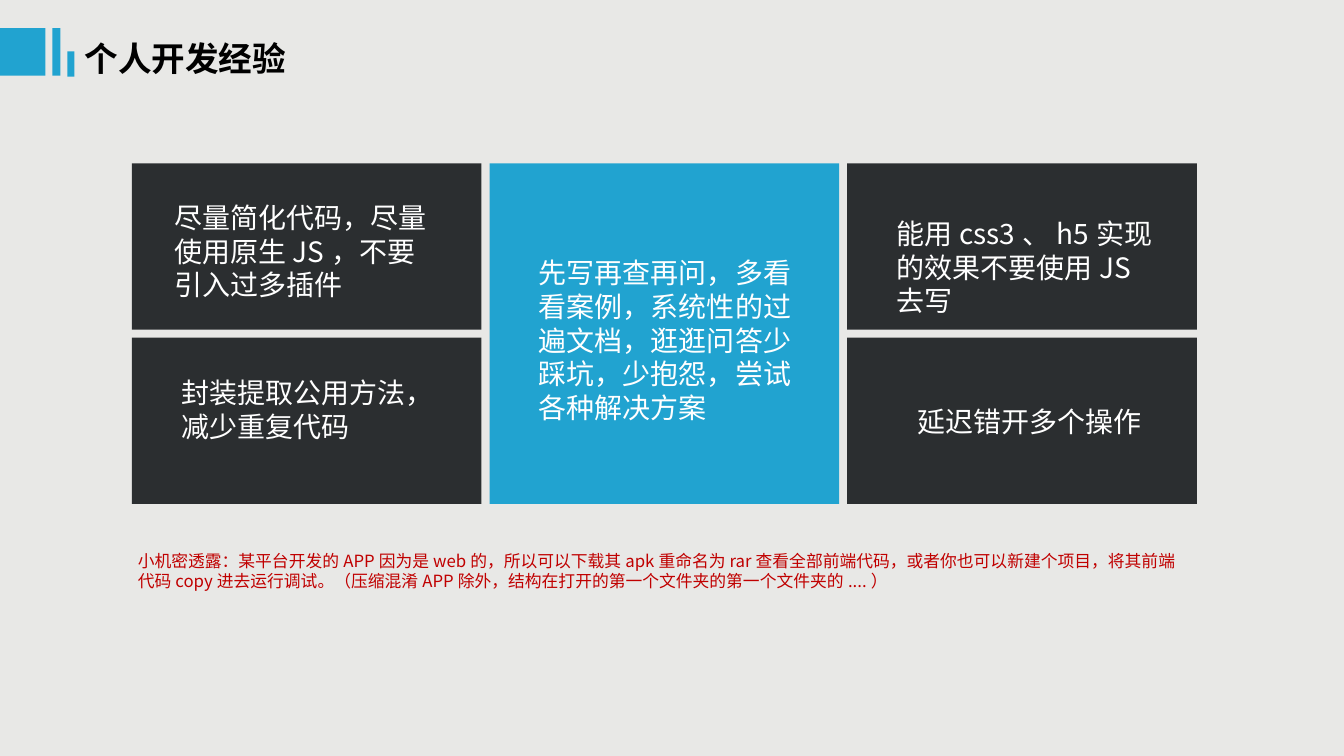
from pptx import Presentation
from pptx.dml.color import RGBColor
from pptx.enum.shapes import MSO_SHAPE as Shape
from pptx.enum.text import MSO_ANCHOR as Anchor, MSO_AUTO_SIZE as AutoSize, PP_ALIGN as Align
from pptx.oxml.ns import qn
from pptx.util import Inches, Pt

FONT = "Noto Sans CJK SC"
BLUE, DARK, RED = "21A3D0", "2B2E30", "C00000"
WHITE, BLACK, PAPER = "FFFFFF", "000000", "E8E8E6"

# Card grid, in inches
LEFT, TOP = 1.31, 1.62
CARD_WIDTH, CARD_HEIGHT = 3.47, 1.65
COLUMN_STEP, ROW_STEP = 3.55, 1.73

# Column, row, rows spanned, fill, text area inside the card, text
CARDS = [
    (0, 0, 1, DARK, (0.32, 0.32, 2.83, 1.1), "尽量简化代码，尽量使用原生JS，不要引入过多插件"),
    (0, 1, 1, DARK, (0.39, 0.33, 2.83, 0.77), "封装提取公用方法，减少重复代码"),
    (1, 0, 2, BLUE, (0.39, 0.87, 2.73, 1.77),
     "先写再查再问，多看看案例，系统性的过遍文档，逛逛问答少踩坑，少抱怨，尝试各种解决方案"),
    (2, 0, 1, DARK, (0.39, 0.48, 2.83, 1.1), "能用css3、h5实现的效果不要使用JS去写"),
    (2, 1, 1, DARK, (0.6, 0.61, 2.83, 0.44), "延迟错开多个操作"),
]
TITLE_BARS = [(0, 0.28, 0.45, 0.47), (0.52, 0.28, 0.08, 0.47), (0.67, 0.51, 0.07, 0.25)]
NOTE = ("小机密透露：某平台开发的APP因为是web的，所以可以下载其apk重命名为rar查看全部前端代码，"
        "或者你也可以新建个项目，将其前端代码copy进去运行调试。"
        "（压缩混淆APP除外，结构在打开的第一个文件夹的第一个文件夹的....）")


def paint(color_format, color):
    color_format.rgb = RGBColor.from_string(color)


def add_block(page, area, color):
    block = page.shapes.add_shape(Shape.RECTANGLE, *map(Inches, area))
    block.shadow.inherit = False
    block.fill.solid()
    paint(block.fill.fore_color, color)
    block.line.fill.background()


def write(box, text, size, color, bold=False):
    frame = box.text_frame
    frame.text = text
    frame.word_wrap = True
    frame.auto_size = AutoSize.NONE
    frame.vertical_anchor = Anchor.TOP
    para = frame.paragraphs[0]
    para.alignment = Align.LEFT
    span = para.runs[0]
    span.font.name = FONT
    span.font.size = Pt(size)
    span.font.bold = bold
    paint(span.font.color, color)
    # Chinese text takes its font from the East Asian slot
    east_asian = span.font._element.makeelement(qn("a:ea"), {"typeface": FONT})
    span.font._element.find(qn("a:latin")).addnext(east_asian)


def add_text(page, area, text, size, color):
    write(page.shapes.add_textbox(*map(Inches, area)), text, size, color)


def add_title(page, area, text):
    title = page.shapes.title
    title.left, title.top, title.width, title.height = map(Inches, area)
    write(title, text, 24, BLACK, bold=True)


def add_card(page, column, row, rows, fill, text_area, text):
    left = LEFT + column * COLUMN_STEP
    top = TOP + row * ROW_STEP
    height = CARD_HEIGHT + (rows - 1) * ROW_STEP
    add_block(page, (left, top, CARD_WIDTH, height), fill)
    inset_x, inset_y, text_width, text_height = text_area
    add_text(page, (left + inset_x, top + inset_y, text_width, text_height), text, 20, WHITE)


def main():
    deck = Presentation()
    deck.slide_width, deck.slide_height = Inches(13.34), Inches(7.5)
    page = deck.slides.add_slide(deck.slide_layouts.get_by_name("Title Only"))
    page.background.fill.solid()
    paint(page.background.fill.fore_color, PAPER)

    # Heading
    for bar in TITLE_BARS:
        add_block(page, bar, BLUE)
    add_title(page, (0.74, 0.33, 2.68, 0.5), "个人开发经验")

    # Cards and closing note
    for card in CARDS:
        add_card(page, *card)
    add_text(page, (1.27, 5.41, 10.6, 0.5), NOTE, 12, RED)

    deck.save("out.pptx")


if __name__ == "__main__":
    main()
